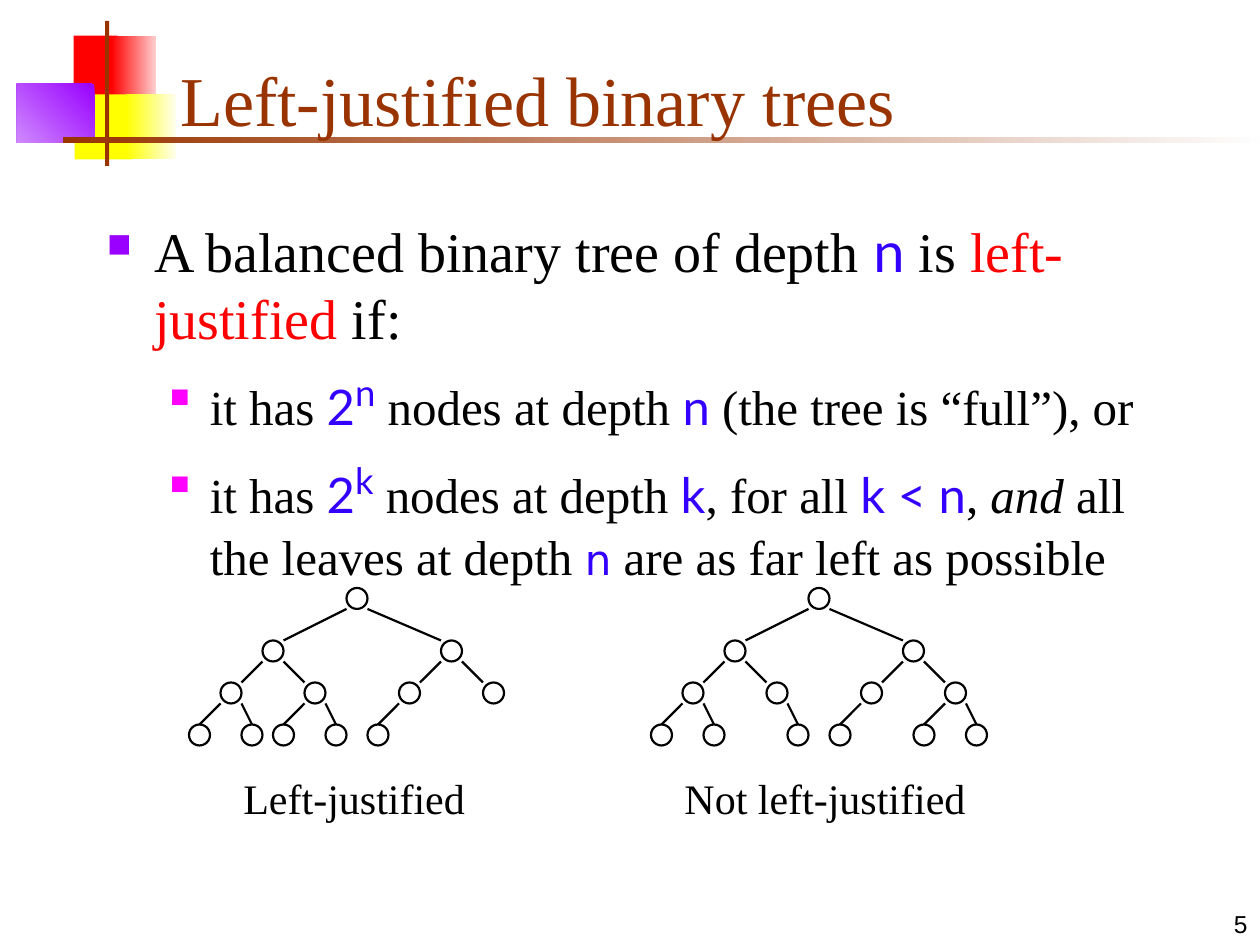
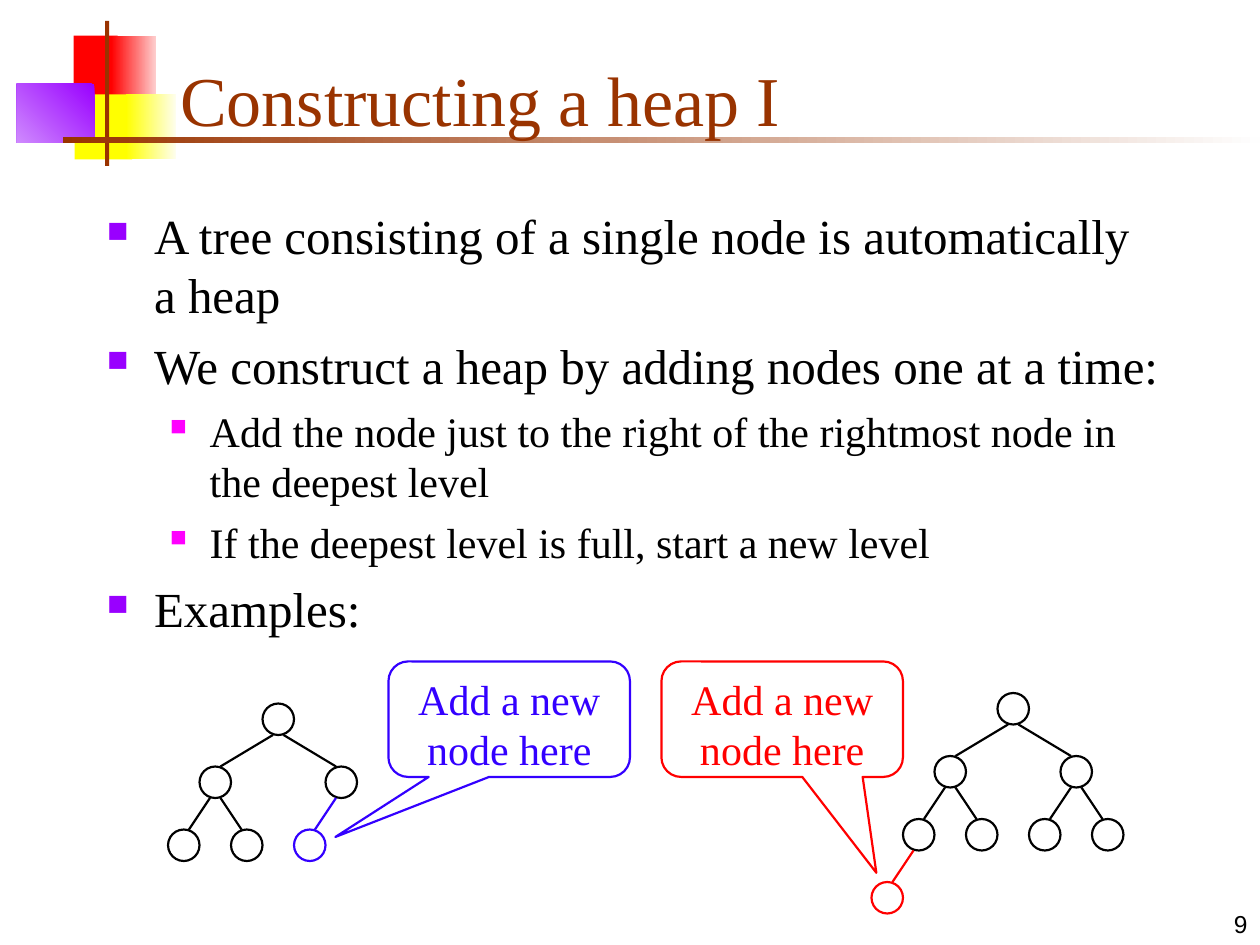
from pptx import Presentation
from pptx.dml.color import RGBColor
from pptx.enum.shapes import MSO_CONNECTOR, MSO_SHAPE
from pptx.enum.text import MSO_ANCHOR, PP_ALIGN
from pptx.oxml.ns import qn
from pptx.util import Emu, Pt
from lxml import etree

PX = 7620  # 120 px to the inch
RECTANGLE, ELLIPSE = MSO_SHAPE.RECTANGLE, MSO_SHAPE.OVAL
CALLOUT = MSO_SHAPE.ROUNDED_RECTANGULAR_CALLOUT
STRAIGHT = MSO_CONNECTOR.STRAIGHT
TOP, BOTTOM = MSO_ANCHOR.TOP, MSO_ANCHOR.BOTTOM
LEFT, CENTER, RIGHT = PP_ALIGN.LEFT, PP_ALIGN.CENTER, PP_ALIGN.RIGHT

BLACK, BROWN, RED, BLUE = "000000", "993300", "FF0000", "3300FF"
YELLOW, VIOLET, MAGENTA = "FFFF00", "9900FF", "FF00FF"
SERIF = "Times New Roman"

# Styles of the spans within a paragraph
PLAIN = {"name": SERIF, "color": BLACK}
TERM = {"name": SERIF, "color": RED}
ITALIC = {**PLAIN, "italic": True}
MATH = {"name": "Lato", "color": BLUE}
POWER = {**MATH, "size": Pt(36), "baseline": 30000}
SMALL_MATH = {"name": "DejaVu Sans", "color": BLUE, "size": Pt(24)}

# Bullet levels: left margin, hanging indent, colour, size in percent
LEVELS = [(45, 45, VIOLET, 60), (98, 38, MAGENTA, 55)]

# Corner blocks and rules: place, fill or gradient, angle
DECORATION = [
    ((70, 34, 42, 62), [RED], 0),
    ((106, 34, 43, 62), ["FED0D0", RED], 180),
    ((71, 90, 55, 62), [YELLOW], 0),
    ((120, 90, 48, 62), ["FEFEEF", YELLOW], 180),
    ((16, 80, 74, 56), [VIOLET, "CF8AFE"], 225),
    ((100, 20, 4, 138), [BROWN], 0),
    ((60, 130, 1140, 6), ["FEFEFE", BROWN], 180),
]


def px(*lengths):
    return [Emu(length * PX) for length in lengths]


def rgb(code):
    return RGBColor.from_string(code)


# Text
def add_span(para, text, style, size):
    span = para.add_run()
    span.text = text
    for key, value in {"size": Pt(size), **style}.items():
        if key == "color":
            span.font.color.rgb = rgb(value)
        elif key == "baseline":
            span._r.get_or_add_rPr().set(key, str(value))
        else:
            setattr(span.font, key, value)


def add_text(page, place, text, size, style=PLAIN, align=LEFT, anchor=TOP):
    frame = page.shapes.add_textbox(*px(*place)).text_frame
    frame.word_wrap = True
    frame.vertical_anchor = anchor
    frame.paragraphs[0].alignment = align
    add_span(frame.paragraphs[0], text, style, size)


def set_bullet(para, level):
    margin, hanging, color, percent = LEVELS[level]
    properties = para._p.get_or_add_pPr()
    properties.set("marL", str(margin * PX))
    properties.set("indent", str(-hanging * PX))
    bullet_color = etree.SubElement(properties, qn("a:buClr"))
    etree.SubElement(bullet_color, qn("a:srgbClr"), val=color)
    etree.SubElement(properties, qn("a:buSzPct"), val=str(percent * 1000))
    etree.SubElement(properties, qn("a:buChar"), char="■")


def add_bullets(page, place, items, sizes, gaps):
    """Each item is a level and its spans; sizes and gaps go by level."""
    frame = page.shapes.add_textbox(*px(*place)).text_frame
    frame.word_wrap = True
    for number, (level, spans) in enumerate(items):
        para = frame.add_paragraph() if number else frame.paragraphs[0]
        para.level = level
        para.space_before = Pt(gaps[level])
        set_bullet(para, level)
        for text, style in spans:
            add_span(para, text, style, sizes[level])


# Shapes
def add_block(page, place, colors, angle):
    block = page.shapes.add_shape(RECTANGLE, *px(*place))
    block.shadow.inherit = False
    block.line.fill.background()
    if len(colors) == 1:
        block.fill.solid()
        block.fill.fore_color.rgb = rgb(colors[0])
        return
    block.fill.gradient()
    block.fill.gradient_angle = angle
    for stop, color in zip(block.fill.gradient_stops, colors):
        stop.color.rgb = rgb(color)


def add_outline(page, kind, place, color):
    shape = page.shapes.add_shape(kind, *px(*place))
    shape.shadow.inherit = False
    shape.fill.background()
    shape.line.color.rgb = rgb(color)
    shape.line.width = Pt(1.25)
    return shape


def add_edge(page, start, end, color):
    edge = page.shapes.add_connector(STRAIGHT, *px(*start, *end))
    edge.line.color.rgb = rgb(color)
    edge.line.width = Pt(1.25)
    etree.SubElement(edge._element.spPr, qn("a:effectLst"))


def add_callout(page, place, pointer, text, color):
    callout = add_outline(page, CALLOUT, place, color)
    for number, value in enumerate(pointer):
        callout.adjustments[number] = value
    frame = callout.text_frame
    frame.word_wrap = True
    frame.vertical_anchor = TOP
    frame.paragraphs[0].alignment = CENTER
    add_span(frame.paragraphs[0], text, {"name": SERIF, "color": color}, 24)


def add_tree(page, lefts, tops, size, parent_inset, child_insets, colors={}):
    """Nodes are numbered as in a heap: the parent of n is n // 2."""
    for node, left in lefts.items():
        depth = node.bit_length() - 1
        color = colors.get(node, BLACK)
        add_outline(page, ELLIPSE, (left, tops[depth], size, size), color)
        if depth == 0:
            continue
        parent_left = lefts[node // 2]
        child_inset = child_insets[depth - 1]
        if node % 2:
            child_x = left + child_inset
            parent_x = parent_left + size - parent_inset
        else:
            child_x = left + size - child_inset
            parent_x = parent_left + parent_inset
        add_edge(page, (child_x, tops[depth]),
                 (parent_x, tops[depth - 1] + size), color)


def add_small_tree(page, shift, leaves):
    lefts = {1: 330, 2: 250, 3: 420, 4: 210, 5: 290, 6: 380, 7: 460, **leaves}
    lefts = {node: left + shift for node, left in lefts.items()}
    add_tree(page, lefts, (560, 610, 650, 690), 20, 0, (0, 0, 10))


def add_heap(page, root_left, root_top, nodes, new_node, color):
    offsets = {1: 0, 2: -60, 3: 60, 4: -90, 5: -30, 6: 30, 7: 90, 8: -120}
    lefts = {node: root_left + offsets[node] for node in [*nodes, new_node]}
    tops = [root_top + 60 * depth for depth in range(4)]
    add_tree(page, lefts, tops, 30, 10, (10, 10, 10), {new_node: color})


# Pages
def add_page(deck, title, number):
    page = deck.slides.add_slide(deck.slide_layouts[6])
    for place, colors, angle in DECORATION:
        add_block(page, place, colors, angle)
    add_text(page, (160, 30, 1022, 110), title, 40,
             {"name": SERIF, "color": BROWN}, anchor=BOTTOM)
    add_text(page, (950, 840, 250, 60), str(number), 14,
             {"name": "Arial", "color": BLACK}, RIGHT, BOTTOM)
    return page


def build_left_justified(deck):
    page = add_page(deck, "Left-justified binary trees", 5)
    add_bullets(page, (90, 200, 1050, 350), [
        (0, [("A balanced binary tree of depth ", PLAIN), ("n", MATH),
             (" is ", PLAIN), ("left-justified", TERM), (" if:", PLAIN)]),
        (1, [("it has ", PLAIN), ("2", MATH), ("n", POWER),
             (" nodes at depth ", PLAIN), ("n", MATH),
             (" (the tree is “full”), or", PLAIN)]),
        (1, [("it has ", PLAIN), ("2", MATH), ("k", POWER),
             (" nodes at depth ", PLAIN), ("k", MATH), (", for all ", PLAIN),
             ("k < n", MATH), (", ", PLAIN), ("and", ITALIC),
             (" all the leaves at depth ", PLAIN), ("n", SMALL_MATH),
             (" are as far left as possible", PLAIN)]),
    ], sizes=(32, 28), gaps=(8, 7))
    add_small_tree(page, 0, {8: 180, 9: 230, 10: 260, 11: 310, 12: 350})
    add_small_tree(page, 440,
                   {8: 180, 9: 230, 11: 310, 12: 350, 14: 430, 15: 480})
    add_text(page, (220, 730, 250, 60), "Left-justified", 24)
    add_text(page, (640, 730, 320, 60), "Not left-justified", 24)


def build_heap_construction(deck):
    page = add_page(deck, "Constructing a heap I", 9)
    lines = [
        (0, "A tree consisting of a single node is automatically a heap"),
        (0, "We construct a heap by adding nodes one at a time:"),
        (1, "Add the node just to the right of the rightmost node in "
            "the deepest level"),
        (1, "If the deepest level is full, start a new level"),
        (0, "Examples:"),
    ]
    items = [(level, [(text, PLAIN)]) for level, text in lines]
    add_bullets(page, (90, 190, 1030, 460), items, sizes=(28, 24), gaps=(7, 6))
    add_heap(page, 250, 670, range(1, 6), 6, BLUE)
    add_heap(page, 950, 660, range(1, 8), 8, RED)
    for left, pointer, color in ((370, (-0.72, 1.02, 0.17), BLUE),
                                 (630, (0.39, 1.33, 0.17), RED)):
        add_callout(page, (left, 630, 230, 110), pointer,
                    "Add a new node here", color)


def main():
    deck = Presentation()
    deck.slide_width, deck.slide_height = px(1200, 900)
    build_left_justified(deck)
    build_heap_construction(deck)
    deck.save("out.pptx")


if __name__ == "__main__":
    main()
